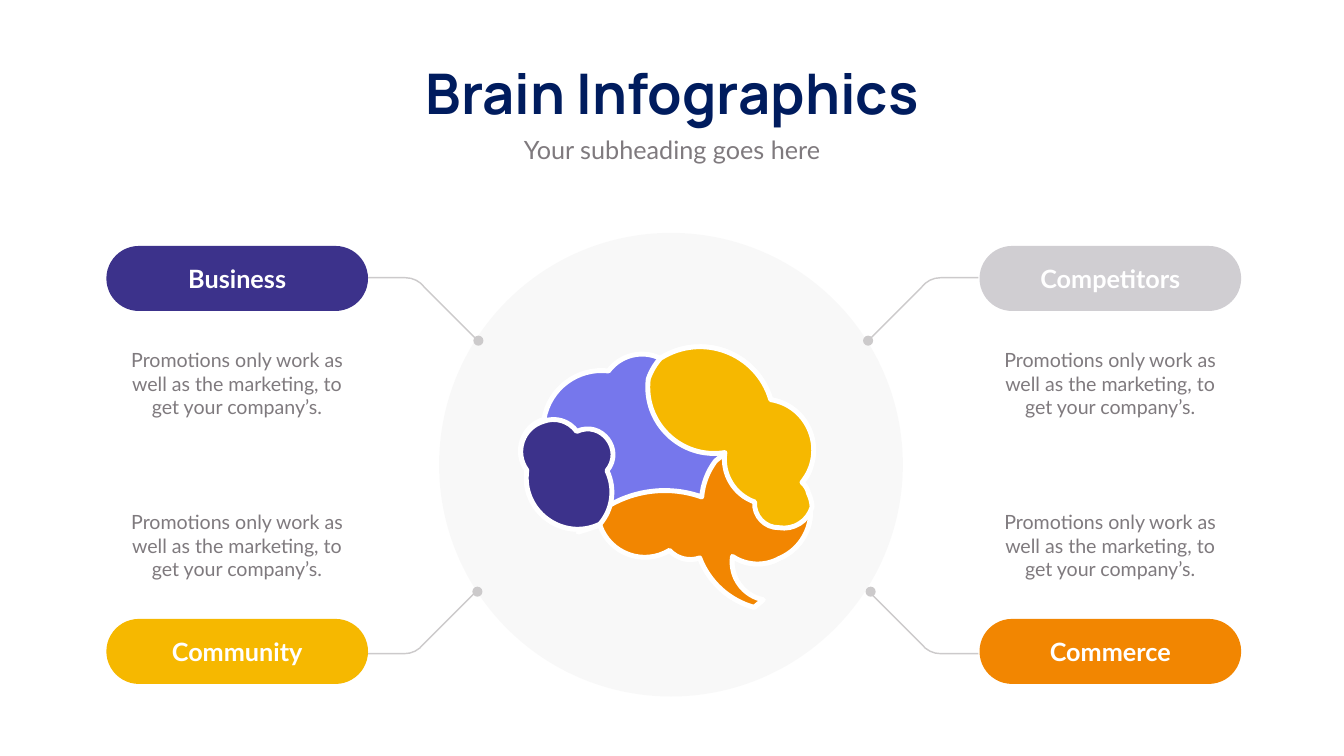
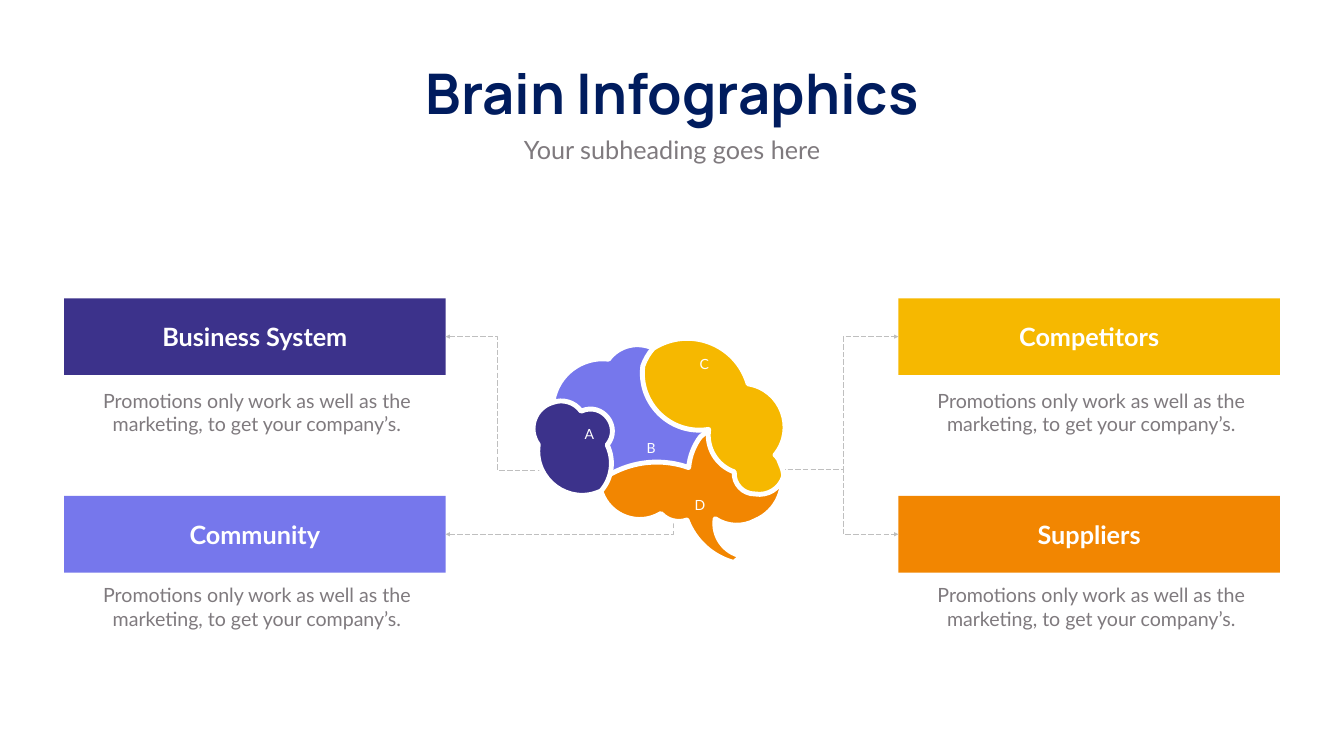
from lxml import etree
from pptx import Presentation
from pptx.dml.color import RGBColor
from pptx.enum.dml import MSO_LINE
from pptx.enum.shapes import MSO_CONNECTOR, MSO_SHAPE
from pptx.enum.text import MSO_ANCHOR, MSO_AUTO_SIZE, PP_ALIGN
from pptx.oxml.ns import qn
from pptx.util import Inches, Pt

ELBOW = MSO_CONNECTOR.ELBOW
OVAL, ROUNDED = MSO_SHAPE.OVAL, MSO_SHAPE.ROUNDED_RECTANGLE
LONG_DASH = MSO_LINE.LONG_DASH
MIDDLE, CENTER = MSO_ANCHOR.MIDDLE, PP_ALIGN.CENTER
FIT_SHAPE = MSO_AUTO_SIZE.SHAPE_TO_FIT_TEXT

COLORS = {
    "navy": "001C5E", "gray": "7F7A7E", "white": "FFFFFF", "purple": "3C328B",
    "lavender": "7677EC", "yellow": "F6B800", "orange": "F28601",
    "silver": "D0CED2", "leader": "CCCACB", "dash": "BFBFBF", "halo": "808080",
}
BODY_FONT, TITLE_FONT = "Lato", "Manrope"

# Content
TITLE = "Brain Infographics"
SUBHEADING = "Your subheading goes here"
BLURB = "Promotions only work as well as the marketing, to get your company’s."

# label, colour, column, row, left and top of the dot, start of the leader
PILLS = [
    ("Business", "purple", 0, 0, (9.39, 6.66), (9.42, 6.7)),
    ("Community", "yellow", 0, 1, (9.37, 11.64), (9.4, 11.78)),
    ("Competitors", "silver", 1, 0, (17.12, 6.66), (17.28, 6.7)),
    ("Commerce", "orange", 1, 1, (17.17, 11.64), (17.28, 11.78)),
]
# label, colour, column, row, connector preset, adjustments
CARDS = [
    ("Business System", "purple", 0, 0, "bentConnector4", (22900, 100400)),
    ("Competitors", "yellow", 1, 0, "bentConnector3", (75600,)),
    ("Community", "lavender", 0, 1, "bentConnector2", ()),
    ("Suppliers", "orange", 1, 1, "bentConnector3", (75600,)),
]
# letter, left, top, width
LOBE_LETTERS = [("A", 11.48, 8.4, 0.42), ("B", 12.71, 8.67, 0.41),
                ("C", 13.76, 7, 0.42), ("D", 13.66, 9.81, 0.45)]

# Outlines: arcs given as end x, end y and bulge (arc height over chord)
LEADER = [(1, 1, 0), (1.38, 1.19, 0.12), (2.13, 1.19, 0)]
CROWN = [(15.29, 7.93, 0.29), (13.1, 7.11, 0.25)]
FOREHEAD = [(12.07, 7.36, 0.18), (10.79, 8.32, 0.2)]
BACK = [(10.45, 9.33, 0.26), (11.9, 10.4, 0.3)]
BASE_AND_STEM = [
    (13.28, 10.92, 0.24), (13.88, 11.07, 0.15), (14.96, 12.05, 0.12),
    (15.14, 11.9, 0), (14.53, 11.04, -0.2), (15.46, 11.08, 0.14),
    (16.02, 9.8, 0.2), (15.89, 9.58, 0.08)]
BRAIN = [
    ("lavender", (15.89, 9.58), CROWN + FOREHEAD + BACK + BASE_AND_STEM),
    ("orange", (11.47, 10.56), [(11.9, 10.42, 0)] + BASE_AND_STEM + [
        (16.1, 9.17, 0.1), (14.19, 9.15, 0.19), (13.92, 9.86, 0.07),
        (11.47, 10.56, 0.16)]),
    ("yellow", (16.04, 9.79), [(15.91, 9.57, 0.08)] + CROWN + [
        (12.86, 7.52, 0.05), (14.38, 8.98, 0.25), (14.97, 9.96, 0.18),
        (15.45, 10.47, 0.22), (16.11, 10.06, 0.19), (16.04, 9.79, 0.05)]),
    ("purple", (12.04, 9.34), [(11.44, 8.56, 0.4), (10.78, 8.36, 0.17)] + BACK + [
        (12.04, 9.34, 0.15)]),
]
BRAIN_ORIGIN = (10.29, 6.84)


def rgb(color):
    return RGBColor.from_string(COLORS[color])


def write(shape, text, size, color, bold=False, font=BODY_FONT):
    shape.text_frame.text = text
    paragraph = shape.text_frame.paragraphs[0]
    paragraph.alignment = CENTER
    style = paragraph.runs[0].font
    style.name, style.size, style.bold = font, Pt(size), bold
    style.color.rgb = rgb(color)


def add_text(slide, text, box, size, color, bold=False, font=BODY_FONT, wrap=True):
    shape = slide.shapes.add_textbox(*map(Inches, box))
    shape.text_frame.word_wrap = wrap
    shape.text_frame.auto_size = FIT_SHAPE
    write(shape, text, size, color, bold, font)


def add_filled(slide, preset, box, color):
    shape = slide.shapes.add_shape(preset, *map(Inches, box))
    shape.shadow.inherit = False
    shape.fill.solid()
    shape.fill.fore_color.rgb = rgb(color)
    shape.line.fill.background()
    return shape


def add_label(slide, label, box, color, rounding):
    shape = add_filled(slide, ROUNDED, box, color)
    shape.adjustments[0] = rounding
    shape.text_frame.vertical_anchor = MIDDLE
    write(shape, label, 36, "white", bold=True)
    return shape


def arc_points(x0, y0, x1, y1, bulge):
    """Two control points and the end of a cubic that follows the arc."""
    dx, dy = x1 - x0, y1 - y0
    along, out = (1 - 4 * bulge ** 2) / 3, 4 * bulge / 3
    return [(x0 + along * dx - out * dy, y0 + along * dy + out * dx),
            (x1 - along * dx - out * dy, y1 - along * dy + out * dx),
            (x1, y1)]


def add_outline(slide, start, arcs, place, line, width, fill=None):
    """Draw a chain of arcs; place maps a point to its slide position."""
    points, here = [], start
    for x, y, bulge in arcs:
        points += arc_points(*here, x, y, bulge)
        here = (x, y)
    builder = slide.shapes.build_freeform(*map(Inches, place(*start)))
    builder.add_line_segments(
        [tuple(map(Inches, place(*point))) for point in points], close=False)
    shape = builder.convert_to_shape()
    shape.shadow.inherit = False
    # Join each run of three points into one cubic curve
    steps = list(shape.element.iter(qn("a:lnTo")))
    for i in range(0, len(steps), 3):
        curve = etree.Element(qn("a:cubicBezTo"))
        steps[i].addprevious(curve)
        for step in steps[i:i + 3]:
            curve.append(step[0])
            step.getparent().remove(step)
    if fill:
        shape.fill.solid()
        shape.fill.fore_color.rgb = rgb(fill)
    else:
        shape.fill.background()
    shape.line.color.rgb = rgb(line)
    shape.line.width = Pt(width)


def add_brain(slide, left, top, scale):
    def place(x, y):
        return (left + (x - BRAIN_ORIGIN[0]) * scale,
                top + (y - BRAIN_ORIGIN[1]) * scale)
    for color, start, arcs in BRAIN:
        add_outline(slide, start, arcs, place, "white", 7, color)


def add_elbow(slide, start, end, preset, adjustments, arrow):
    elbow = slide.shapes.add_connector(ELBOW, *map(Inches, start + end))
    elbow.line.color.rgb = rgb("dash")
    elbow.line.width = Pt(1)
    elbow.line.dash_style = LONG_DASH
    properties = elbow.element.spPr
    geometry = properties.find(qn("a:prstGeom"))
    geometry.set("prst", preset)
    values = geometry.find(qn("a:avLst"))
    for number, value in enumerate(adjustments, 1):
        etree.SubElement(values, qn("a:gd"), name=f"adj{number}", fmla=f"val {value}")
    etree.SubElement(properties.find(qn("a:ln")), qn(arrow), type="triangle")
    etree.SubElement(properties, qn("a:effectLst"))


def add_heading(slide):
    add_text(slide, TITLE, (7.9, 1.12, 10.87, 1.45), 80, "navy", True, TITLE_FONT, False)
    add_text(slide, SUBHEADING, (2.92, 2.61, 20.82, 0.71), 36, "gray")


def build_pill_slide(slide):
    # Pale disc behind the brain
    disc = add_filled(slide, OVAL, (8.71, 4.62, 9.2, 9.2), "halo")
    tint = next(disc.element.spPr.iter(qn("a:srgbClr")))
    etree.SubElement(tint, qn("a:alpha"), val="5000")

    # Pills with their leaders and texts
    for label, color, column, row, dot, (x0, y0) in PILLS:
        add_filled(slide, OVAL, (*dot, 0.2, 0.2), "leader")
        side, rise = 2 * column - 1, 2 * row - 1
        add_outline(slide, (0, 0), LEADER,
                    lambda x, y: (x0 + side * x, y0 + rise * y), "leader", 2)
        left = 2.11 + 17.32 * column
        add_label(slide, label, (left, 4.88 + 7.4 * row, 5.19, 1.29), color, 0.5)
        add_text(slide, BLURB, (left + 0.33, 6.86 + 3.21 * row, 4.52, 1.51), 28, "gray")

    add_brain(slide, *BRAIN_ORIGIN, 1)
    add_heading(slide)


def build_card_slide(slide):
    hub = (13.35, 9.32)
    # Cards, each tied to the brain by a dashed elbow
    for label, color, column, row, preset, adjustments in CARDS:
        left, top = 1.27 + 16.55 * column, 5.92 + 3.92 * row
        card = add_label(slide, label, (left, top, 7.57, 1.52), color, 0)
        frame = card.text_frame
        frame.margin_left = frame.margin_right = 0
        frame.margin_top = frame.margin_bottom = 0
        middle = top + 0.76
        if column == 0:
            add_elbow(slide, (left + 7.57, middle), hub, preset, adjustments, "a:headEnd")
        else:
            add_elbow(slide, hub, (left, middle), preset, adjustments, "a:tailEnd")
        add_text(slide, BLURB, (left + 0.52, 7.66 + 3.86 * row, 6.61, 1.04), 28, "gray")

    # Brain with lettered lobes
    add_brain(slide, 10.54, 6.68, 0.86)
    for letter, left, top, width in LOBE_LETTERS:
        add_text(slide, letter, (left, top, width, 0.47), 20, "white", wrap=False)
    add_heading(slide)


def main():
    deck = Presentation()
    deck.slide_width, deck.slide_height = Inches(26.66), Inches(15)
    for build in (build_pill_slide, build_card_slide):
        build(deck.slides.add_slide(deck.slide_layouts[6]))
    deck.save("out.pptx")


if __name__ == "__main__":
    main()
